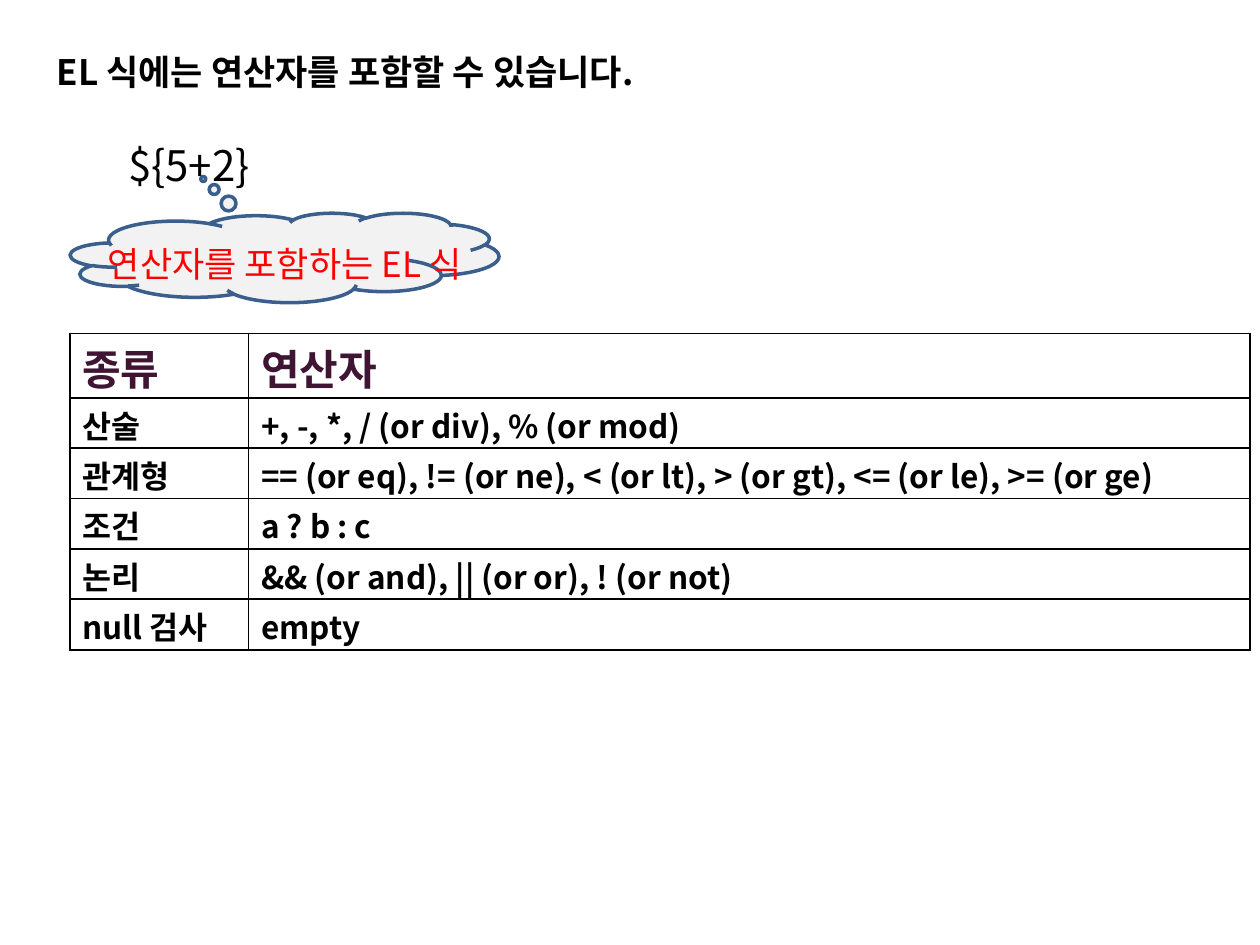
from pptx import Presentation
from pptx.dml.color import RGBColor
from pptx.enum.shapes import MSO_SHAPE as Shape
from pptx.enum.text import MSO_ANCHOR as Anchor, MSO_AUTO_SIZE as AutoSize, PP_ALIGN as Align
from pptx.oxml import parse_xml
from pptx.oxml.ns import nsdecls
from pptx.util import Pt

FONT = "Noto Sans CJK KR"
BLACK, WHITE, RED, PLUM = "000000", "FFFFFF", "FF0000", "401433"
OPERATORS = [
    ("종류", "연산자"),
    ("산술", "+, -, *, / (or div), % (or mod)"),
    ("관계형", "== (or eq), != (or ne), < (or lt), > (or gt), <= (or le), >= (or ge)"),
    ("조건", "a ? b : c"),
    ("논리", "&& (or and), || (or or), ! (or not)"),
    ("null 검사", "empty"),
]
COLUMN_WIDTHS = (102.2, 572.4)
HEADER_HEIGHT, ROW_HEIGHT = 36.6, 28.8


def color(value):
    return RGBColor.from_string(value)


def write(para, text, size, fill, align, bold=False):
    para.alignment = align
    span = para.add_run()
    span.text = text
    font = span.font
    font.name, font.size, font.bold = FONT, Pt(size), bold
    font.color.rgb = color(fill)
    font._element.append(parse_xml(f'<a:ea {nsdecls("a")} typeface="{FONT}"/>'))


def fill_frame(box, text, size, fill, align, bold=False):
    """Write one unwrapped line, centred vertically in the box."""
    frame = box.text_frame
    frame.word_wrap = False
    frame.auto_size = AutoSize.NONE
    frame.vertical_anchor = Anchor.MIDDLE
    write(frame.paragraphs[0], text, size, fill, align, bold)


def set_title(slide, text):
    title = slide.shapes.title
    title.left, title.top, title.width, title.height = map(Pt, (25.2, 25.2, 442, 31.7))
    fill_frame(title, text, 20, BLACK, Align.LEFT, bold=True)


def add_label(shapes, place, text, size, fill):
    box = shapes.add_textbox(*map(Pt, place))
    fill_frame(box, text, size, fill, Align.CENTER)


def add_thought(slide, text):
    """Group a thought cloud with its label."""
    group = slide.shapes.add_group_shape()
    cloud = group.shapes.add_shape(Shape.CLOUD_CALLOUT, *map(Pt, (40.3, 121.7, 244.8, 51.1)))
    cloud.adjustments[0], cloud.adjustments[1] = -0.19, -0.88
    cloud.shadow.inherit = False
    cloud.fill.solid()
    cloud.fill.fore_color.rgb = color("F2F2F2")
    cloud.line.color.rgb = color("3A5F8C")
    cloud.line.width = Pt(2)
    add_label(group.shapes, (46.8, 134.6, 231.8, 31.7), text, 20, RED)


def add_borders(cell):
    properties = cell._tc.get_or_add_tcPr()
    for index, side in enumerate(("lnL", "lnR", "lnT", "lnB")):
        properties.insert(index, parse_xml(
            f'<a:{side} {nsdecls("a")} w="{Pt(1.13)}"><a:solidFill>'
            f'<a:srgbClr val="{BLACK}"/></a:solidFill></a:{side}>'))


def add_operator_table(slide):
    heights = [HEADER_HEIGHT] + [ROW_HEIGHT] * (len(OPERATORS) - 1)
    place = (39.8, 190.6, sum(COLUMN_WIDTHS), sum(heights))
    table = slide.shapes.add_table(len(OPERATORS), len(COLUMN_WIDTHS), *map(Pt, place)).table
    for column, width in zip(table.columns, COLUMN_WIDTHS):
        column.width = Pt(width)
    for index, (row, height, texts) in enumerate(zip(table.rows, heights, OPERATORS)):
        row.height = Pt(height)
        size, fill = (24, PLUM) if index == 0 else (18, BLACK)
        for cell, text in zip(row.cells, texts):
            cell.fill.solid()
            cell.fill.fore_color.rgb = color(WHITE)
            cell.vertical_anchor = Anchor.MIDDLE
            cell.margin_top, cell.margin_bottom = Pt(1.8), Pt(0)
            write(cell.text_frame.paragraphs[0], text, size, fill, Align.JUSTIFY, bold=True)
            add_borders(cell)


def main():
    deck = Presentation()
    deck.slide_width, deck.slide_height = Pt(720), Pt(540)
    slide = deck.slides.add_slide(deck.slide_layouts[5])
    set_title(slide, "EL 식에는 연산자를 포함할 수 있습니다.")
    add_label(slide.shapes, (46.8, 76.3, 122.4, 36), "${5+2}", 24, BLACK)
    add_thought(slide, "연산자를 포함하는 EL 식")
    add_operator_table(slide)
    deck.save("out.pptx")


if __name__ == "__main__":
    main()
